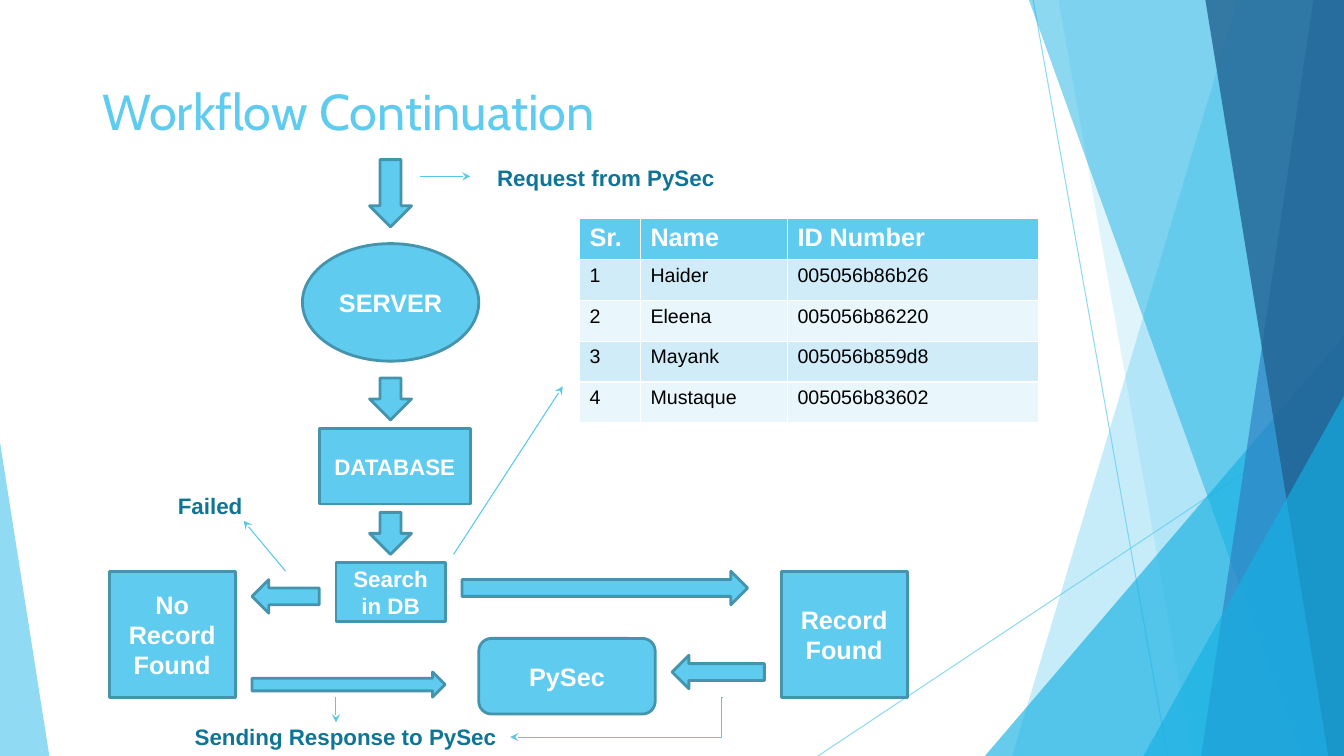
from dataclasses import dataclass

from pptx import Presentation, util as u
from pptx.dml.color import RGBColor
from pptx.enum import shapes, text
from pptx.oxml.ns import qn
from lxml import etree

Kind = shapes.MSO_SHAPE
Link = shapes.MSO_CONNECTOR
SCALE = 9525
WIDE, HIGH = 1280, 720


@dataclass(frozen=True)
class Theme:
    sky: str = "5FCBEF"
    edge: str = "4594AE"
    wire: str = "58C7EC"
    ink: str = "0F7597"
    deep: str = "16B0E3"
    blue: str = "2E83C3"
    navy: str = "226292"
    white: str = "FFFFFF"
    black: str = "000000"
    bands: tuple = ("E9F6FC", "D1ECF9")
    head: int = 36
    big: int = 18
    mid: int = 16
    small: int = 14
    face: str = "Arial"
    title: str = "Cabin"


def px(n):
    return u.Emu(n * SCALE)


def rgb(code):
    return RGBColor.from_string(code)


def write(frame, words, size, color, face, bold=False, center=False):
    frame.word_wrap = True
    par = frame.paragraphs[0]
    par.alignment = text.PP_ALIGN.CENTER if center else text.PP_ALIGN.LEFT
    run = par.add_run()
    run.text = words
    run.font.size = u.Pt(size)
    run.font.bold = bold
    run.font.name = face
    run.font.color.rgb = rgb(color)


def fade(item, share):
    for node in item._element.spPr.iter(qn("a:srgbClr")):
        etree.SubElement(node, qn("a:alpha")).set("val", str(share * 1000))


class Deck:
    """Draw styled elements on the current slide, in px."""

    def __init__(self, theme):
        self.theme = theme
        self.show = Presentation()
        self.show.slide_width, self.show.slide_height = px(WIDE), px(HIGH)
        self.slide = self.show.slides.add_slide(self.show.slide_layouts[6])
        self.items = self.slide.shapes

    def tint(self, item, color, share):
        item.shadow.inherit = False
        item.fill.solid()
        item.fill.fore_color.rgb = rgb(color)
        item.line.fill.background()
        fade(item, share)

    def pane(self, top, low, color, share):
        form = self.items.build_freeform(top, 0, scale=SCALE)
        form.add_line_segments([(WIDE, 0), (WIDE, HIGH), (low, HIGH)], close=True)
        self.tint(form.convert_to_shape(), color, share)

    def wedge(self, x, y, w, tip, color, share):
        item = self.items.add_shape(Kind.ISOSCELES_TRIANGLE, px(x), px(y), px(w), px(HIGH - y))
        item.adjustments[0] = tip
        self.tint(item, color, share)

    def node(self, kind, x, y, w, h, words="", size=None, turn=0):
        item = self.items.add_shape(kind, px(x), px(y), px(w), px(h))
        item.shadow.inherit = False
        item.rotation = turn
        item.fill.solid()
        item.fill.fore_color.rgb = rgb(self.theme.sky)
        item.line.color.rgb = rgb(self.theme.edge)
        item.line.width = u.Pt(2)
        if words:
            item.text_frame.vertical_anchor = text.MSO_ANCHOR.MIDDLE
            write(item.text_frame, words, size or self.theme.big, self.theme.white,
                  self.theme.face, bold=True, center=True)

    def label(self, x, y, w, h, words, **form):
        style = dict(size=self.theme.mid, color=self.theme.ink, face=self.theme.face, bold=True)
        box = self.items.add_textbox(px(x), px(y), px(w), px(h))
        write(box.text_frame, words, **{**style, **form})
        return box

    def wire(self, x, y, to_x, to_y, color=None, kind=Link.STRAIGHT, head=True):
        line = self.items.add_connector(kind, px(x), px(y), px(to_x), px(to_y))
        line.line.color.rgb = rgb(color or self.theme.wire)
        line.line.width = u.Pt(0.75)
        if head:
            etree.SubElement(line.line._get_or_add_ln(), qn("a:tailEnd")).set("type", "stealth")
        etree.SubElement(line._element.spPr, qn("a:effectLst"))
        return line

    def bend(self, x, y, to_x, to_y, share, box, side):
        line = self.wire(x, y, to_x, to_y, kind=Link.ELBOW)
        geom = line._element.spPr.find(qn("a:prstGeom"))
        guides = geom.find(qn("a:avLst"))
        if guides is None:
            guides = etree.SubElement(geom, qn("a:avLst"))
        guide = etree.SubElement(guides, qn("a:gd"))
        guide.set("name", "adj1")
        guide.set("fmla", f"val {share}")
        line.end_connect(box, side)

    def table(self, x, y, cols, row, data):
        look = self.theme
        size = len(data), len(cols)
        grid = self.items.add_table(*size, px(x), px(y), px(sum(cols)), px(row * len(data))).table
        for col, w in zip(grid.columns, cols):
            col.width = px(w)
        for r, line in enumerate(data):
            grid.rows[r].height = px(row)
            for c, words in enumerate(line):
                cell = grid.cell(r, c)
                cell.fill.solid()
                cell.fill.fore_color.rgb = rgb(look.bands[r % 2] if r else look.sky)
                write(cell.text_frame, words, look.small if r else look.big,
                      look.black if r else look.white, look.face, bold=r == 0)


def main():
    look = Theme()
    deck = Deck(look)

    for ends in ((984, 0, 1112, HIGH), (WIDE, 387, 779, HIGH)):
        fade(deck.wire(*ends, color=look.sky, head=False), 69)
    deck.pane(1179, 964, look.sky, 35)
    deck.pane(1008, 1136, look.sky, 20)
    deck.wedge(938, 320, 342, 1, look.deep, 65)
    deck.pane(980, 1239, look.deep, 49)
    deck.pane(1251, 1144, look.blue, 69)
    deck.pane(1148, 1265, look.navy, 80)
    deck.wedge(1089, 377, 191, 1, look.deep, 65)
    deck.wedge(0, 421, 47, 0, look.sky, 69)

    deck.label(88, 72, 902, 138, "Workflow Continuation",
               size=look.head, color=look.sky, face=look.title, bold=False)

    for y, h in ((152, 64), (360, 40), (488, 40)):
        deck.node(Kind.DOWN_ARROW, 352, y, 40, h)
    for x, y, w, h, turn in ((240, 552, 64, 32, 180), (240, 640, 184, 24, 0),
                             (440, 544, 272, 32, 0), (640, 624, 88, 32, 180)):
        deck.node(Kind.RIGHT_ARROW, x, y, w, h, turn=turn)

    deck.node(Kind.OVAL, 288, 232, 168, 112, "SERVER")
    deck.node(Kind.RECTANGLE, 304, 408, 144, 72, "DATABASE", look.mid)
    deck.node(Kind.RECTANGLE, 320, 536, 104, 56, "Search in DB", look.mid)
    deck.node(Kind.ROUNDED_RECTANGLE, 456, 608, 168, 72, "PySec")
    deck.node(Kind.RECTANGLE, 104, 544, 120, 120, "No Record Found")
    deck.node(Kind.RECTANGLE, 744, 544, 120, 120, "Record Found")

    deck.label(464, 152, 228, 36, "Request from PySec")
    deck.label(160, 464, 82, 36, "Failed")
    reply = deck.label(176, 684, 310, 36, "Sending Response to PySec")

    for ends in ((400, 168, 448, 168), (272, 544, 232, 496),
                 (320, 664, 320, 688), (432, 528, 536, 368)):
        deck.wire(*ends)
    deck.bend(688, 664, 486, 702, 300, reply, 3)

    deck.table(552, 208, (58, 140, 239), 39, (
        ("Sr.", "Name", "ID Number"),
        ("1", "Haider", "005056b86b26"),
        ("2", "Eleena", "005056b86220"),
        ("3", "Mayank", "005056b859d8"),
        ("4", "Mustaque", "005056b83602"),
    ))
    deck.show.save("out.pptx")


if __name__ == "__main__":
    main()
